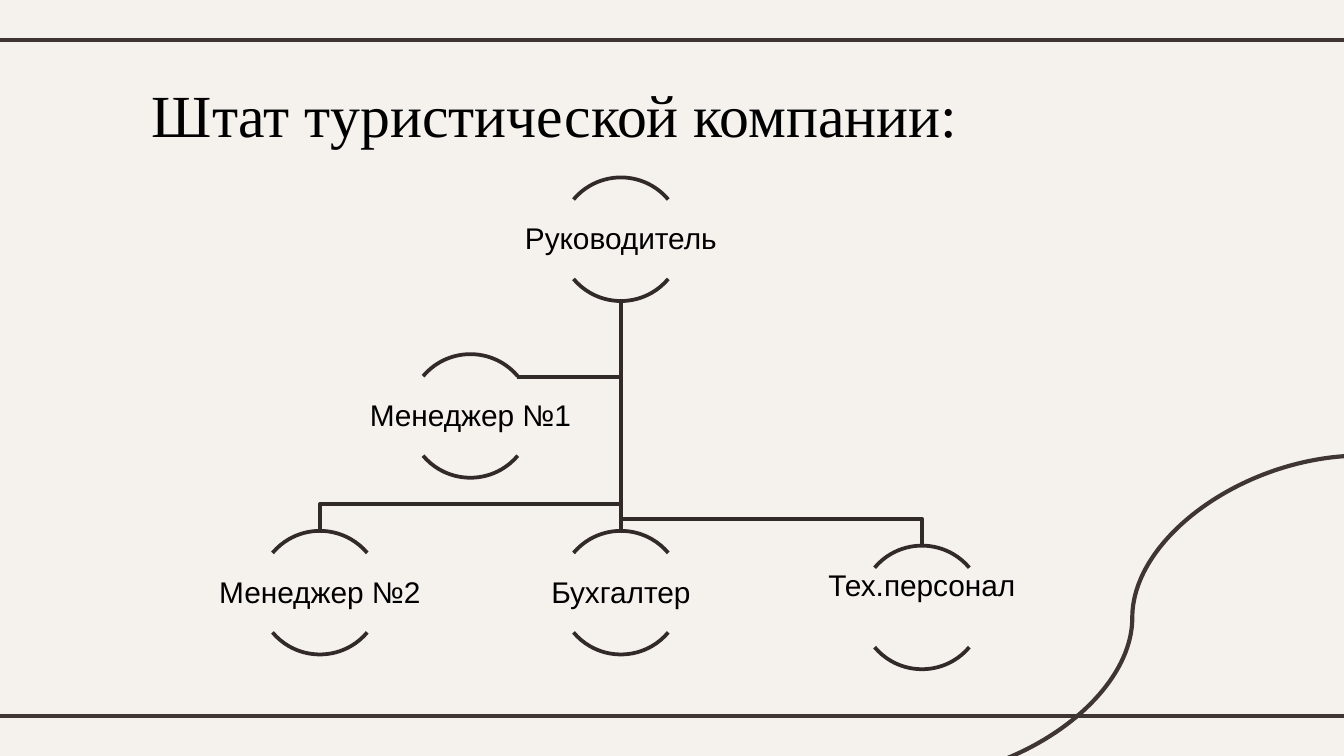
from lxml import etree
from pptx import Presentation
from pptx.dml.color import RGBColor
from pptx.enum.shapes import MSO_CONNECTOR as Connector, MSO_SHAPE as Shape
from pptx.enum.text import MSO_ANCHOR as Anchor, PP_ALIGN as Align
from pptx.oxml.ns import qn
from pptx.util import Inches, Pt

WIDTH = 10
HEIGHT = WIDTH * 9 / 16
FRAME_COLOR, CHART_COLOR, TEXT_COLOR = "3F3533", "322A29", "000000"
LEFT_CENTER, COLUMN_STEP = 2.38, 1.12
FIRST_TOP, ROW_STEP = 1.32, 2.63 / 2
DIAMETER, LABEL_WIDTH, LABEL_HEIGHT = 0.92, 1.85, 0.59
TRUNK_COLUMN, BRANCH_GAP, ARC_DEPTH = 2, 0.2, 0.17
ARC_RANGES = [(132, 192), (24, 84)]
STAFF = [
    ("Руководитель", 2, 0, 0),
    ("Менеджер №2", 0, 2, 0),
    ("Бухгалтер", 2, 2, 0),
    ("Тех.персонал", 4, 2, 0.11),
    ("Менеджер №1", 1, 1, 0),
]


def rgb(color):
    """Turn a hex string into a colour."""
    return RGBColor.from_string(color)


def center_x(column):
    """Return the horizontal centre of a grid column."""
    return LEFT_CENTER + column * COLUMN_STEP


def top_y(row, drop=0):
    """Return the top of a grid row, lowered by drop."""
    return FIRST_TOP + row * ROW_STEP + drop


def style_line(shape, color, width):
    """Give a shape's outline its colour and width."""
    shape.line.color.rgb = rgb(color)
    shape.line.width = Pt(width)


def add_line(slide, start, end, color, width, kind=Connector.STRAIGHT):
    """Add a connector without shadow."""
    ends = [Inches(value) for value in (*start, *end)]
    connector = slide.shapes.add_connector(kind, *ends)
    style_line(connector, color, width)
    etree.SubElement(connector._element.spPr, qn("a:effectLst"))


def add_branch(slide, points):
    """Add an open polyline that links two roles."""
    start, *rest = [(Inches(x), Inches(y)) for x, y in points]
    builder = slide.shapes.build_freeform(*start)
    builder.add_line_segments(rest, close=False)
    branch = builder.convert_to_shape()
    branch.fill.background()
    branch.shadow.inherit = False
    style_line(branch, CHART_COLOR, 2)


def add_role(slide, name, column, row, drop):
    """Add a role name between an upper and a lower arc."""
    center, top = center_x(column), top_y(row, drop)
    for angles in ARC_RANGES:
        arc = slide.shapes.add_shape(
            Shape.ARC, Inches(center - DIAMETER / 2), Inches(top),
            Inches(DIAMETER), Inches(DIAMETER))
        arc.adjustments[0], arc.adjustments[1] = angles
        arc.fill.background()
        arc.shadow.inherit = False
        style_line(arc, CHART_COLOR, 2)
    label = slide.shapes.add_textbox(
        Inches(center - LABEL_WIDTH / 2), Inches(top + ARC_DEPTH),
        Inches(LABEL_WIDTH), Inches(LABEL_HEIGHT))
    frame = label.text_frame
    frame.word_wrap = True
    frame.vertical_anchor = Anchor.MIDDLE
    frame.margin_left = frame.margin_right = Inches(0.01)
    frame.margin_top = Inches(0.01)
    frame.margin_bottom = Inches(0.33 if drop else 0.01)
    format_text(frame, name, "Arial", 16, Align.CENTER)
    frame.paragraphs[0].line_spacing = 0.9


def format_text(frame, text, font, size, alignment):
    """Fill a text frame with one formatted paragraph."""
    frame.text = text
    paragraph = frame.paragraphs[0]
    paragraph.alignment = alignment
    paragraph.font.name = font
    paragraph.font.size = Pt(size)
    paragraph.font.color.rgb = rgb(TEXT_COLOR)


def add_title(slide, text):
    """Place and format the slide title."""
    title = slide.shapes.title
    title.left, title.top = Inches(0.78), Inches(0.48)
    title.width, title.height = Inches(7.37), Inches(1.07)
    frame = title.text_frame
    frame.vertical_anchor = Anchor.TOP
    frame.margin_left = Inches(0.35)
    frame.margin_top = frame.margin_right = frame.margin_bottom = Inches(0.1)
    format_text(frame, text, "Times New Roman", 32, Align.LEFT)


def add_frame(slide):
    """Add the two rules and the curve in the corner."""
    for y in (0.3, 5.33):
        add_line(slide, (-0.08, y), (WIDTH + 0.08, y), FRAME_COLOR, 2.25)
    add_line(slide, (6.72, 5.8), (10.13, 3.39), FRAME_COLOR, 2.25, Connector.CURVE)


def add_branches(slide):
    """Link the head to the assistant and the three subordinates."""
    trunk, start = center_x(TRUNK_COLUMN), top_y(0) + DIAMETER
    joint = top_y(1) + ARC_DEPTH
    add_branch(slide, [(trunk, start), (trunk, joint), (center_x(1) + 0.35, joint)])
    for _, column, row, drop in STAFF:
        top = top_y(row, drop)
        if row == 2 and column == TRUNK_COLUMN:
            add_line(slide, (trunk, start), (trunk, top), CHART_COLOR, 2)
        elif row == 2:
            end, turn = center_x(column), top - BRANCH_GAP
            add_branch(slide, [(trunk, start), (trunk, turn), (end, turn), (end, top)])


def main():
    """Build and save the staff chart."""
    presentation = Presentation()
    presentation.slide_width = Inches(WIDTH)
    presentation.slide_height = Inches(HEIGHT)
    slide = presentation.slides.add_slide(presentation.slide_layouts[5])
    slide.background.fill.solid()
    slide.background.fill.fore_color.rgb = rgb("F5F2EE")
    add_frame(slide)
    add_title(slide, "Штат туристической компании:")
    add_branches(slide)
    for role in STAFF:
        add_role(slide, *role)
    presentation.save("out.pptx")


if __name__ == "__main__":
    main()
